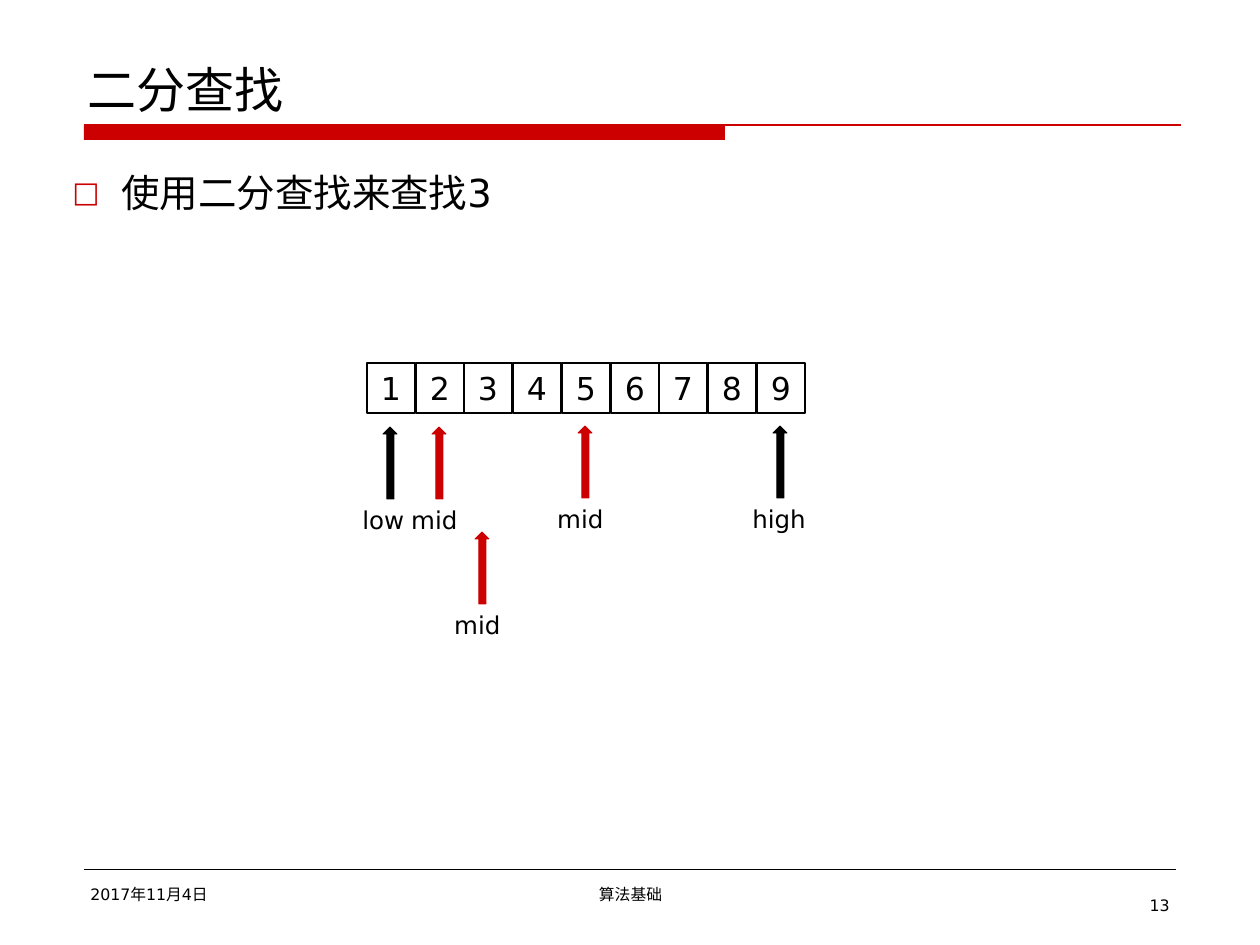
from itertools import groupby

from lxml import etree
from pptx import Presentation
from pptx import util as u
from pptx.dml.color import RGBColor
from pptx.enum import shapes, text
from pptx.oxml import ns

EMU_PER_PX = u.Inches(1) / 126
COLORS = {"black": "000000", "white": "FFFFFF", "red": "CC0000"}
LATIN_FONT, CHINESE_FONT = "DejaVu Sans", "Noto Sans CJK SC"
LEFT, CENTER, RIGHT = text.PP_ALIGN.LEFT, text.PP_ALIGN.CENTER, text.PP_ALIGN.RIGHT
TOP, MIDDLE, BOTTOM = text.MSO_ANCHOR.TOP, text.MSO_ANCHOR.MIDDLE, text.MSO_ANCHOR.BOTTOM
ARROW_OUTLINE = [(7, 0), (14, 7), (11, 7), (11, 72), (4, 72), (4, 7)]


def px(*lengths):
    """Turn pixel lengths into a list of EMU."""
    return [u.Emu(round(length * EMU_PER_PX)) for length in lengths]


def rgb(name):
    """Look up a named colour."""
    return RGBColor.from_string(COLORS[name])


def apply(target, values):
    """Set each attribute of a dict of format values."""
    for name, value in values.items():
        setattr(target, name, value)


def write(shape, content, size, align=LEFT, anchor=TOP, wrap=True):
    """Write one paragraph, with a run for each script in it."""
    frame = shape.text_frame
    margins = dict.fromkeys(
        ("margin_left", "margin_top", "margin_right", "margin_bottom"), u.Inches(0.05))
    apply(frame, {**margins, "word_wrap": wrap, "vertical_anchor": anchor,
                  "auto_size": text.MSO_AUTO_SIZE.NONE})
    paragraph = frame.paragraphs[0]
    paragraph.alignment = align
    for is_latin, letters in groupby(content, str.isascii):
        run = paragraph.add_run()
        run.text = "".join(letters)
        font = LATIN_FONT if is_latin else CHINESE_FONT
        apply(run.font, {"name": font, "size": u.Pt(size)})
        run.font.color.rgb = rgb("black")
        east_asian = etree.SubElement(run.font._element, ns.qn("a:ea"))
        east_asian.set("typeface", font)
    return paragraph


def add_text(parent, box, content, size, **layout):
    """Add a text box with one paragraph."""
    return write(parent.shapes.add_textbox(*px(*box)), content, size, **layout)


def style(shape, fill, line=None, width=1):
    """Give a shape a flat fill and an optional outline."""
    shape.shadow.inherit = False
    shape.fill.solid()
    shape.fill.fore_color.rgb = rgb(fill)
    if line:
        shape.line.color.rgb = rgb(line)
        shape.line.width = u.Pt(width)
    else:
        shape.line.fill.background()


def add_rectangle(parent, box, fill, line=None):
    """Add a rectangle."""
    shape = parent.shapes.add_shape(shapes.MSO_SHAPE.RECTANGLE, *px(*box))
    style(shape, fill, line)
    return shape


def add_rule(slide, left, right, y, color, width):
    """Add a horizontal line."""
    rule = slide.shapes.add_connector(
        shapes.MSO_CONNECTOR.STRAIGHT, *px(left, y, right, y))
    rule.line.color.rgb = rgb(color)
    rule.line.width = u.Pt(width)
    etree.SubElement(rule._element.spPr, ns.qn("a:effectLst"))


def add_array(slide, values):
    """Add the row of numbered cells."""
    group = slide.shapes.add_group_shape()
    for index, value in enumerate(values):
        box = (367 + round(index * 48.7), 363, 48, 50)
        cell = add_rectangle(group, box, "white", "black")
        write(cell, str(value), 18, align=CENTER, anchor=MIDDLE)


def add_pointer(slide, left, top, label, width, color):
    """Add an upward arrow with its label below."""
    group = slide.shapes.add_group_shape()
    outline = [(left + x, top + y) for x, y in ARROW_OUTLINE]
    builder = group.shapes.build_freeform(left, top + 7, scale=EMU_PER_PX)
    builder.add_line_segments(outline, close=True)
    style(builder.convert_to_shape(), color, color, 0.5)
    add_text(group, (left - 27, top + 72, width, 43), label, 14)


def add_bullet(paragraph):
    """Put a hollow red square before a paragraph."""
    properties = paragraph._p.get_or_add_pPr()
    indent = u.Inches(0.39)
    properties.set("marL", str(indent))
    properties.set("indent", str(-indent))
    color = etree.SubElement(properties, ns.qn("a:buClr"))
    etree.SubElement(color, ns.qn("a:srgbClr")).set("val", COLORS["red"])
    for tag, name, value in (("a:buSzPct", "val", "75000"),
                             ("a:buFont", "typeface", LATIN_FONT),
                             ("a:buChar", "char", "□")):
        etree.SubElement(properties, ns.qn(tag)).set(name, value)


def add_title(slide, content):
    """Fill the title placeholder and underline it."""
    title = slide.shapes.title
    apply(title, dict(zip(("left", "top", "width", "height"), px(81, 42, 1102, 83))))
    write(title, content, 28, anchor=BOTTOM)
    add_rectangle(slide, (84, 125, 641, 15), "red")
    add_rule(slide, 84, 1181, 125, "red", 0.75)


def add_footer(slide):
    """Add the footer line, date, course name and page number."""
    add_rule(slide, 84, 1176, 869, "black", 0.25)
    add_text(slide, (84, 879, 273, 35), "2017年11月4日", 9)
    add_text(slide, (431, 879, 399, 35), "算法基础", 9, align=CENTER)
    add_text(slide, (1142, 890, 34, 32), "13", 9, align=RIGHT, wrap=False)


def main():
    """Build the binary search slide."""
    presentation = Presentation()
    apply(presentation, dict(zip(("slide_width", "slide_height"), px(1260, 945))))
    slide = presentation.slides.add_slide(presentation.slide_layouts[5])
    add_title(slide, "二分查找")
    add_footer(slide)
    add_array(slide, range(1, 10))
    for pointer in ((383, 427, "low", 67, "black"),
                    (773, 426, "high", 79, "black"),
                    (578, 426, "mid", 73, "red"),
                    (432, 427, "mid", 73, "red"),
                    (475, 532, "mid", 73, "red")):
        add_pointer(slide, *pointer)
    add_bullet(add_text(slide, (66, 163, 1102, 684), "使用二分查找来查找3", 22))
    presentation.save("out.pptx")


if __name__ == "__main__":
    main()
